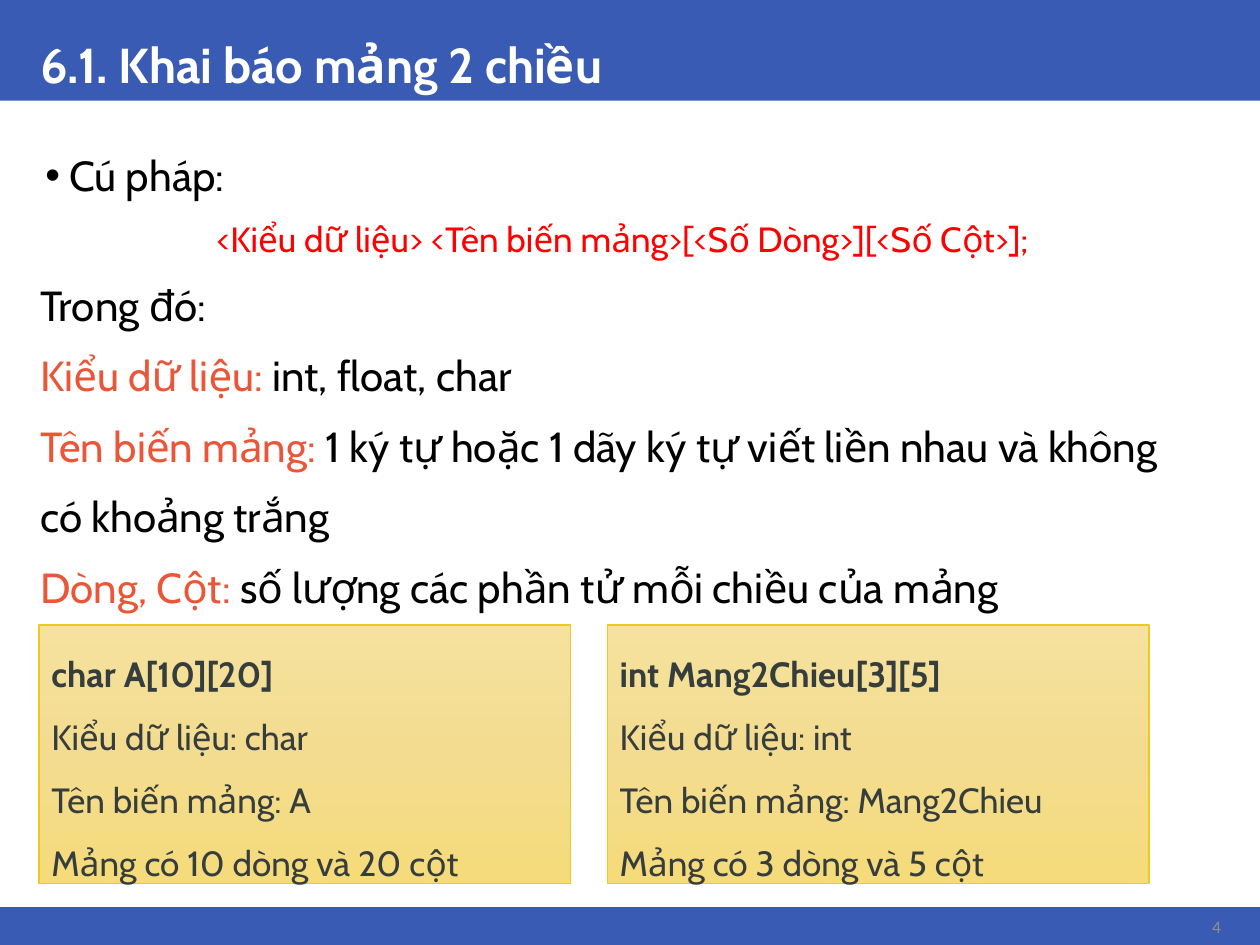
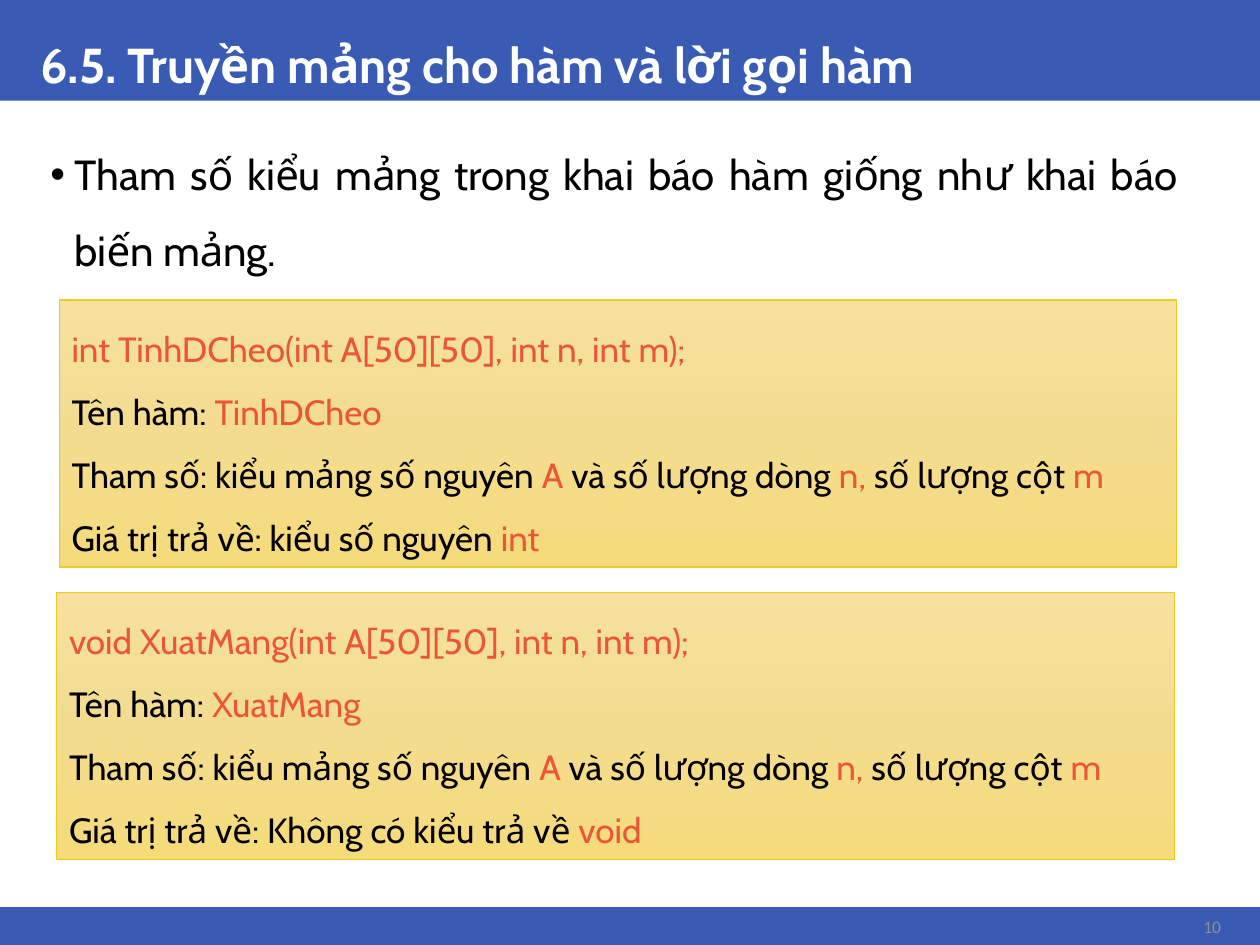
from copy import deepcopy

from lxml import etree
from pptx import Presentation
from pptx.dml.color import RGBColor
from pptx.enum import shapes, text
from pptx.oxml import ns
from pptx.util import Inches, Pt

BLUE = RGBColor(0x3A, 0x5B, 0xB3)
WHITE = RGBColor(0xFF, 0xFF, 0xFF)
BLACK = RGBColor(0x00, 0x00, 0x00)
GREY = RGBColor(0x8E, 0x8F, 0x8F)
DARK = RGBColor(0x36, 0x3D, 0x3D)
RED = RGBColor(0xFF, 0x00, 0x00)
ORANGE = RGBColor(0xEB, 0x56, 0x38)
GOLD = RGBColor(0xEB, 0xCA, 0x21)
GOLD_STOPS = [
    (0, RGBColor(0xF6, 0xE2, 0x9E)),
    (0.5, RGBColor(0xF3, 0xDC, 0x90)),
    (1, RGBColor(0xF6, 0xDB, 0x7B)),
]
FONT = "Cabin"
LEFT, CENTER, RIGHT, JUSTIFY = (
    text.PP_ALIGN.LEFT, text.PP_ALIGN.CENTER, text.PP_ALIGN.RIGHT, text.PP_ALIGN.JUSTIFY)
TOP, MIDDLE, BOTTOM = (
    text.MSO_ANCHOR.TOP, text.MSO_ANCHOR.MIDDLE, text.MSO_ANCHOR.BOTTOM)

BANDS = [(0, 0, 10, 0.8), (0, 7.2, 10, 0.3)]
TITLE_AT = (0.22, 0, 9.57, 0.8)
NUMBER_AT = (9.26, 7.22, 0.53, 0.26)


def array_example(declaration, kind, name, rows, columns):
    return [
        [(declaration, DARK)],
        [(f"Kiểu dữ liệu: {kind}", DARK)],
        [(f"Tên biến mảng: {name}", DARK)],
        [(f"Mảng có {rows} dòng và {columns} cột", DARK)],
    ]


def function_example(kind, name, result):
    return [
        [(f"{kind} {name}(int A[50][50], int n, int m);", ORANGE)],
        [("Tên hàm: ", BLACK), (name, ORANGE)],
        [("Tham số: kiểu mảng số nguyên ", BLACK), ("A", ORANGE),
         (" và số lượng dòng ", BLACK), ("n, ", ORANGE),
         ("số lượng cột ", BLACK), ("m", ORANGE)],
        [(f"Giá trị trả về: {result} ", BLACK), (kind, ORANGE)],
    ]


SLIDES = [
    {
        "title": "6.1. Khai báo mảng 2 chiều",
        "number": "4",
        "body_at": (0.22, 0.98, 9.57, 4.14),
        "spacing": 1.4,
        "bullet_align": LEFT,
        "body": [
            [("Cú pháp:", BLACK)],
            [("<Kiểu dữ liệu> <Tên biến mảng>[<Số Dòng>][<Số Cột>];", RED)],
            [("Trong đó:", BLACK)],
            [("Kiểu dữ liệu: ", ORANGE), ("int, float, char", BLACK)],
            [("Tên biến mảng: ", ORANGE),
             ("1 ký tự hoặc 1 dãy ký tự viết liền nhau và không có khoảng trắng", BLACK)],
            [("Dòng, Cột: ", ORANGE),
             ("số lượng các phần tử mỗi chiều của mảng", BLACK)],
        ],
        "syntax_line": 1,
        "bold_heading": True,
        "boxes": [
            ((0.31, 4.96, 4.22, 2.05), array_example("char A[10][20]", "char", "A", 10, 20)),
            ((4.82, 4.96, 4.3, 2.05),
             array_example("int Mang2Chieu[3][5]", "int", "Mang2Chieu", 3, 5)),
        ],
    },
    {
        "title": "6.5. Truyền mảng cho hàm và lời gọi hàm",
        "number": "10",
        "body_at": (0.26, 0.93, 9.19, 1.29),
        "spacing": 1.5,
        "bullet_align": JUSTIFY,
        "body": [
            [("Tham số kiểu mảng trong khai báo hàm giống như khai báo biến mảng.", BLACK)],
        ],
        "syntax_line": None,
        "bold_heading": False,
        "boxes": [
            ((0.47, 2.38, 8.87, 2.12),
             function_example("int", "TinhDCheo", "kiểu số nguyên")),
            ((0.45, 4.7, 8.87, 2.12),
             function_example("void", "XuatMang", "Không có kiểu trả về")),
        ],
    },
]


def place(sp, at):
    sp.left, sp.top, sp.width, sp.height = map(Inches, at)


def write(tf, paragraphs, size, spacing=1.0, align=LEFT, anchor=TOP, font=FONT, bold=False):
    tf.word_wrap = True
    tf.auto_size = text.MSO_AUTO_SIZE.NONE
    tf.vertical_anchor = anchor
    for i, runs in enumerate(paragraphs):
        p = tf.paragraphs[0] if i == 0 else tf.add_paragraph()
        p.alignment = align
        p.line_spacing = spacing
        p.space_before = p.space_after = Pt(0)
        for words, color in runs:
            r = p.add_run()
            r.text = words
            r.font.name = font
            r.font.size = Pt(size)
            r.font.bold = bold
            r.font.color.rgb = color


def set_bullet(p, bulleted):
    pPr = p._p.get_or_add_pPr()
    pPr.set("marL", str(Inches(0.23 if bulleted else 0)))
    pPr.set("indent", str(Inches(-0.19 if bulleted else 0)))
    if not bulleted:
        etree.SubElement(pPr, ns.qn("a:buNone"))
        return
    color = etree.SubElement(pPr, ns.qn("a:buClr"))
    etree.SubElement(color, ns.qn("a:srgbClr"), val=str(BLACK))
    etree.SubElement(pPr, ns.qn("a:buFont"), typeface="Arial")
    etree.SubElement(pPr, ns.qn("a:buChar"), char="•")


def add_bands(s, layout):
    for i, at in enumerate(BANDS):
        sp = s.shapes.add_shape(shapes.MSO_SHAPE.RECTANGLE, *map(Inches, at))
        sp.shadow.inherit = False
        sp.fill.solid()
        sp.fill.fore_color.rgb = BLUE
        sp.line.fill.background()
        layout.shapes.element.insert(2 + i, sp.element)


def add_body(s, content):
    body = s.placeholders[1]
    place(body, content["body_at"])
    write(body.text_frame, content["body"], 24, content["spacing"])
    for i, p in enumerate(body.text_frame.paragraphs):
        set_bullet(p, i == 0)
        if i == 0:
            p.alignment = content["bullet_align"]
        if i == content["syntax_line"]:
            p.alignment = CENTER
            p.runs[0].font.size = Pt(20)
            p._p.get_or_add_pPr().set("marR", str(Inches(0.13)))


def add_example_box(s, at, paragraphs, bold_heading):
    sp = s.shapes.add_shape(shapes.MSO_SHAPE.RECTANGLE, *map(Inches, at))
    sp.shadow.inherit = False
    sp.fill.gradient()
    sp.fill.gradient_angle = 270
    stop_list = sp.element.find(".//" + ns.qn("a:gsLst"))
    stop_list.append(deepcopy(stop_list[0]))
    for stop, (position, color) in zip(sp.fill.gradient_stops, GOLD_STOPS):
        stop.position = position
        stop.color.rgb = color
    sp.line.color.rgb = GOLD
    sp.line.width = Pt(0.75)
    write(sp.text_frame, paragraphs, 20, 1.5)
    sp.text_frame.paragraphs[0].runs[0].font.bold = bold_heading


def main():
    prs = Presentation()
    prs.slide_width, prs.slide_height = Inches(10), Inches(7.5)
    layout = prs.slide_layouts[1]
    for i, content in enumerate(SLIDES):
        s = prs.slides.add_slide(layout)
        if i == 0:
            add_bands(s, layout)
        place(s.shapes.title, TITLE_AT)
        write(s.shapes.title.text_frame, [[(content["title"], WHITE)]], 28, 0.9,
              anchor=BOTTOM, bold=True)
        number = s.shapes.add_textbox(*map(Inches, NUMBER_AT))
        write(number.text_frame, [[(content["number"], GREY)]], 10,
              align=RIGHT, anchor=MIDDLE, font="Calibri")
        add_body(s, content)
        for at, paragraphs in content["boxes"]:
            add_example_box(s, at, paragraphs, content["bold_heading"])
    prs.save("out.pptx")


if __name__ == "__main__":
    main()
